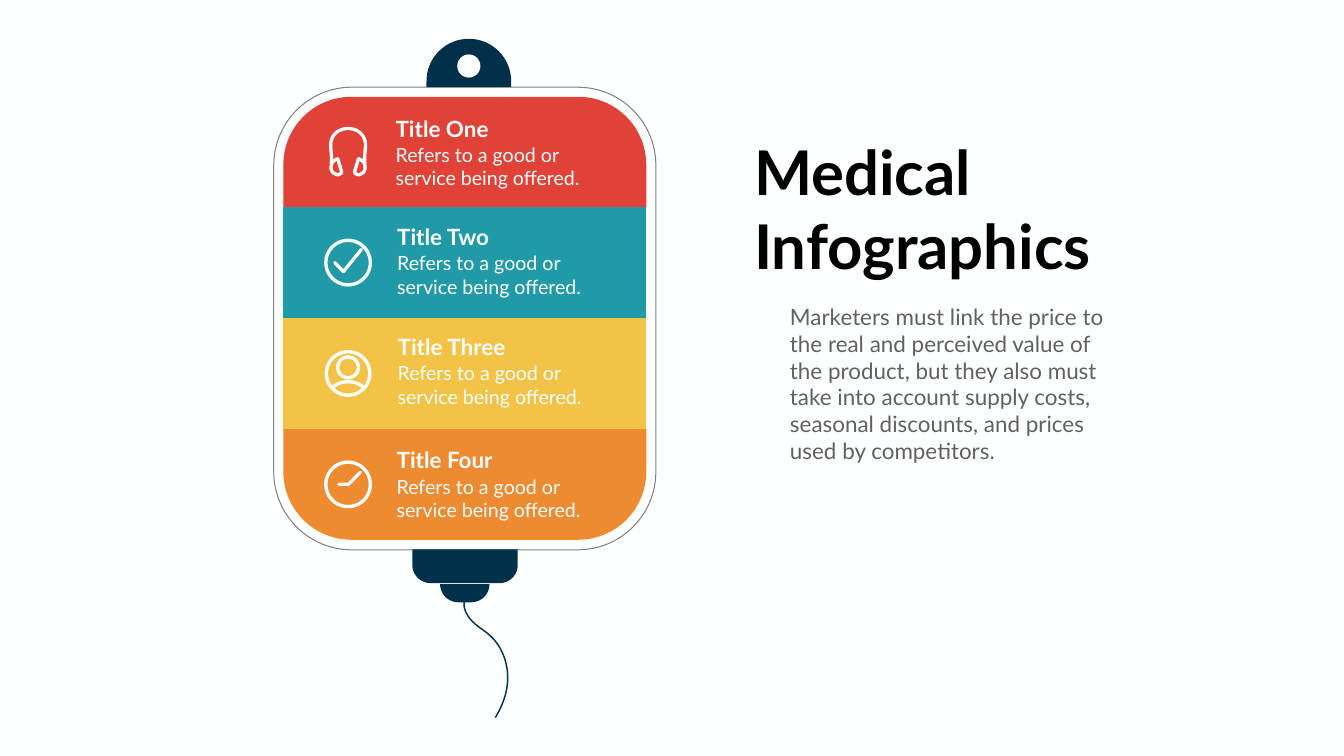
from dataclasses import dataclass
from math import cos, pi, sin

from pptx import Presentation
from pptx.dml.color import RGBColor
from pptx.enum.shapes import MSO_SHAPE
from pptx.enum.text import MSO_ANCHOR, MSO_AUTO_SIZE, PP_ALIGN
from pptx.oxml.ns import qn
from pptx.oxml.xmlchemy import OxmlElement
from pptx.util import Inches, Pt

Point = tuple[float, float]
Curve = tuple[Point, Point, Point]

NAVY, WHITE, GREY = "01304B", "FFFFFF", "616161"
PAPER, BLACK, BAG_LINE = "FEFFFF", "000000", "808080"
STEPS = 16
ICON_X = 6.905
ICON_STROKE = 4.7
BAND_LEFT, BAND_TOP, BAND_WIDTH = 5.62, 1.92, 7.2
BANDS_HEIGHT = 8.79
BAND_RADIUS = 1.35
LABEL_LINES = ["Refers to a good or", "service being offered."]


@dataclass
class Band:
    title: str
    color: str
    text_left: float
    text_top: float
    title_width: float


@dataclass
class Block:
    """A block with rounded upper or lower corners."""
    left: float
    top: float
    width: float
    height: float
    color: str
    top_radius: float = 0
    bottom_radius: float = 0


BANDS = [
    Band("Title One", "E14237", 7.75, 2.23, 2.07),
    Band("Title Two", "209AA6", 7.78, 4.38, 2.1),
    Band("Title Three", "F2C347", 7.79, 6.56, 2.38),
    Band("Title Four", "EE8B31", 7.77, 8.81, 2.14),
]
FITTINGS = [
    Block(8.18, 10.9, 2.09, 0.67, NAVY, bottom_radius=0.36),
    Block(8.73, 11.59, 0.98, 0.36, NAVY, bottom_radius=0.36),
    Block(8.46, 0.77, 1.68, 0.96, NAVY, top_radius=0.84),
]
TUBE = [
    ((9.18, 12.08), (9.27, 12.23), (9.38, 12.34)),
    ((9.49, 12.45), (9.63, 12.52), (9.74, 12.63)),
    ((9.95, 12.83), (10.06, 13.12), (10.07, 13.41)),
    ((10.08, 13.7), (9.98, 13.98), (9.83, 14.23)),
]
HALF_HEADBAND = [
    ((6.59, 3.1), (6.56, 3.0), (6.56, 2.88)),
    ((6.56, 2.68), (6.71, 2.55), (ICON_X, 2.55)),
]
EAR_CUP = [
    ((6.7, 3.15), (6.78, 3.42), (6.78, 3.42)),
    ((6.74, 3.47), (6.69, 3.48), (6.65, 3.45)),
    ((6.57, 3.42), (6.55, 3.34), (6.58, 3.25)),
    ((6.6, 3.2), (6.66, 3.16), (6.7, 3.15)),
]


def rgb(color: str) -> RGBColor:
    return RGBColor.from_string(color)


def style(shape, fill: str | None = None, line: str | None = None, width: float = 0) -> None:
    shape.shadow.inherit = False
    for part, color in ((shape.fill, fill), (shape.line.fill, line)):
        if color:
            part.solid()
            part.fore_color.rgb = rgb(color)
        else:
            part.background()
    if line:
        shape.line.width = Pt(width)
        shape._element.spPr.find(qn("a:ln")).set("cap", "rnd")


def add_outline(slide, points: list[Point], closed: bool):
    start, *rest = [(Inches(x), Inches(y)) for x, y in points]
    builder = slide.shapes.build_freeform(*start)
    builder.add_line_segments(rest, close=closed)
    return builder.convert_to_shape()


def curve_points(start: Point, curves: list[Curve]) -> list[Point]:
    """Sample a chain of cubic Bezier curves."""
    points = [start]
    for first, second, end in curves:
        for step in range(1, STEPS + 1):
            t = step / STEPS
            weights = ((1 - t) ** 3, 3 * t * (1 - t) ** 2, 3 * t * t * (1 - t), t ** 3)
            corners = (start, first, second, end)
            points.append(tuple(sum(w * c[axis] for w, c in zip(weights, corners))
                                for axis in (0, 1)))
        start = end
    return points


def mirror(points: list[Point]) -> list[Point]:
    return [(2 * ICON_X - x, y) for x, y in points]


def add_stroke(slide, points: list[Point], color: str = WHITE,
               width: float = ICON_STROKE, closed: bool = False) -> None:
    style(add_outline(slide, points, closed), line=color, width=width)


def add_block(slide, block: Block) -> None:
    right, bottom = block.left + block.width, block.top + block.height
    upper, lower = block.top_radius, block.bottom_radius
    corners = [
        (right - lower, bottom - lower, lower),
        (block.left + lower, bottom - lower, lower),
        (block.left + upper, block.top + upper, upper),
        (right - upper, block.top + upper, upper),
    ]
    points = []
    for quarter, (x, y, radius) in enumerate(corners):
        for step in range(STEPS + 1 if radius else 1):
            angle = (quarter + step / STEPS) * pi / 2
            points.append((x + radius * cos(angle), y + radius * sin(angle)))
    style(add_outline(slide, points, True), fill=block.color)


def add_ring(slide, center_y: float, diameter: float) -> None:
    ring = slide.shapes.add_shape(
        MSO_SHAPE.DONUT, Inches(ICON_X - diameter / 2), Inches(center_y - diameter / 2),
        Inches(diameter), Inches(diameter))
    ring.adjustments[0] = 0.065 / diameter
    style(ring, fill=WHITE)


def remove_bullet(paragraph) -> None:
    properties = paragraph._p.get_or_add_pPr()
    properties.set("marL", "0")
    properties.set("indent", "0")
    properties.append(OxmlElement("a:buNone"))


def set_text(shape, lines: list[str], size: float, color: str,
             bold: bool = False, wrap: bool = False) -> None:
    frame = shape.text_frame
    frame.text = "\n".join(lines)
    frame_format = {"word_wrap": wrap, "auto_size": MSO_AUTO_SIZE.NONE,
                    "vertical_anchor": MSO_ANCHOR.TOP}
    for name, value in frame_format.items():
        setattr(frame, name, value)
    for paragraph in frame.paragraphs:
        paragraph.alignment = PP_ALIGN.LEFT
        paragraph.space_before = Pt(0)
        remove_bullet(paragraph)
        for name, value in {"name": "Lato", "size": Pt(size), "bold": bold}.items():
            setattr(paragraph.font, name, value)
        paragraph.font.color.rgb = rgb(color)


def place(shape, *box: float) -> None:
    for name, value in zip(("left", "top", "width", "height"), box):
        setattr(shape, name, Inches(value))


def add_bag(slide) -> None:
    band_height = BANDS_HEIGHT / len(BANDS)
    for index, band in enumerate(BANDS):
        add_block(slide, Block(
            BAND_LEFT, BAND_TOP + index * band_height, BAND_WIDTH, band_height, band.color,
            top_radius=BAND_RADIUS if index == 0 else 0,
            bottom_radius=BAND_RADIUS if index == len(BANDS) - 1 else 0))
    bag = slide.shapes.add_shape(MSO_SHAPE.ROUNDED_RECTANGLE, 0, 0, 0, 0)
    place(bag, 5.43, 1.73, 7.58, 9.18)
    bag.adjustments[0] = 1.55 / 7.58
    style(bag, line=BAG_LINE, width=1.45)
    for fitting in FITTINGS:
        add_block(slide, fitting)
    add_stroke(slide, curve_points((9.21, 11.93), TUBE), NAVY, 2.04)
    hole = slide.shapes.add_shape(MSO_SHAPE.OVAL, 0, 0, 0, 0)
    place(hole, 9.07, 1.08, 0.46, 0.46)
    style(hole, fill=PAPER)


def add_icons(slide) -> None:
    headband = curve_points((6.57, 3.24), HALF_HEADBAND)
    add_stroke(slide, headband + mirror(headband)[-2::-1])
    ear_cup = curve_points((6.7, 3.15), EAR_CUP)
    for cup in (ear_cup, mirror(ear_cup)):
        add_stroke(slide, cup, closed=True)
    for center_y, diameter in ((5.21, 0.95), (7.41, 0.93), (7.29, 0.48), (9.61, 0.95)):
        add_ring(slide, center_y, diameter)
    check_mark = [(6.64, 5.21), (6.81, 5.39), (7.17, 4.95)]
    clock_hands = [(6.72, 9.61), (6.91, 9.61), (7.15, 9.37)]
    shoulders = curve_points((6.61, 7.68), [((6.75, 7.54), (7.06, 7.54), (7.2, 7.68))])
    for points in (check_mark, shoulders, clock_hands):
        add_stroke(slide, points)


def add_labels(slide) -> None:
    for band in BANDS:
        boxes = [(0.555, 3.93, 1.04, LABEL_LINES, 28, False),
                 (0, band.title_width, 0.64, [band.title], 32, True)]
        for offset, width, height, lines, size, bold in boxes:
            label = slide.shapes.add_textbox(0, 0, 0, 0)
            place(label, band.text_left, band.text_top + offset, width, height)
            set_text(label, lines, size, WHITE, bold)


def add_heading(slide) -> None:
    title, body = slide.placeholders
    place(title, 14.86, 2.6, 7.06, 3.06)
    set_text(title, ["Medical", "Infographics"], 88, BLACK, bold=True)
    place(body, 15.57, 5.96, 6.46, 3.33)
    set_text(body, [
        "Marketers must link the price to the real and perceived value of the product, "
        "but they also must take into account supply costs, seasonal discounts, "
        "and prices used by competitors."], 32, GREY, wrap=True)


def main() -> None:
    presentation = Presentation()
    presentation.slide_width, presentation.slide_height = Inches(26.66), Inches(15)
    slide = presentation.slides.add_slide(presentation.slide_layouts[1])
    slide.background.fill.solid()
    slide.background.fill.fore_color.rgb = rgb(PAPER)
    add_bag(slide)
    add_icons(slide)
    add_heading(slide)
    add_labels(slide)
    presentation.save("out.pptx")


if __name__ == "__main__":
    main()
